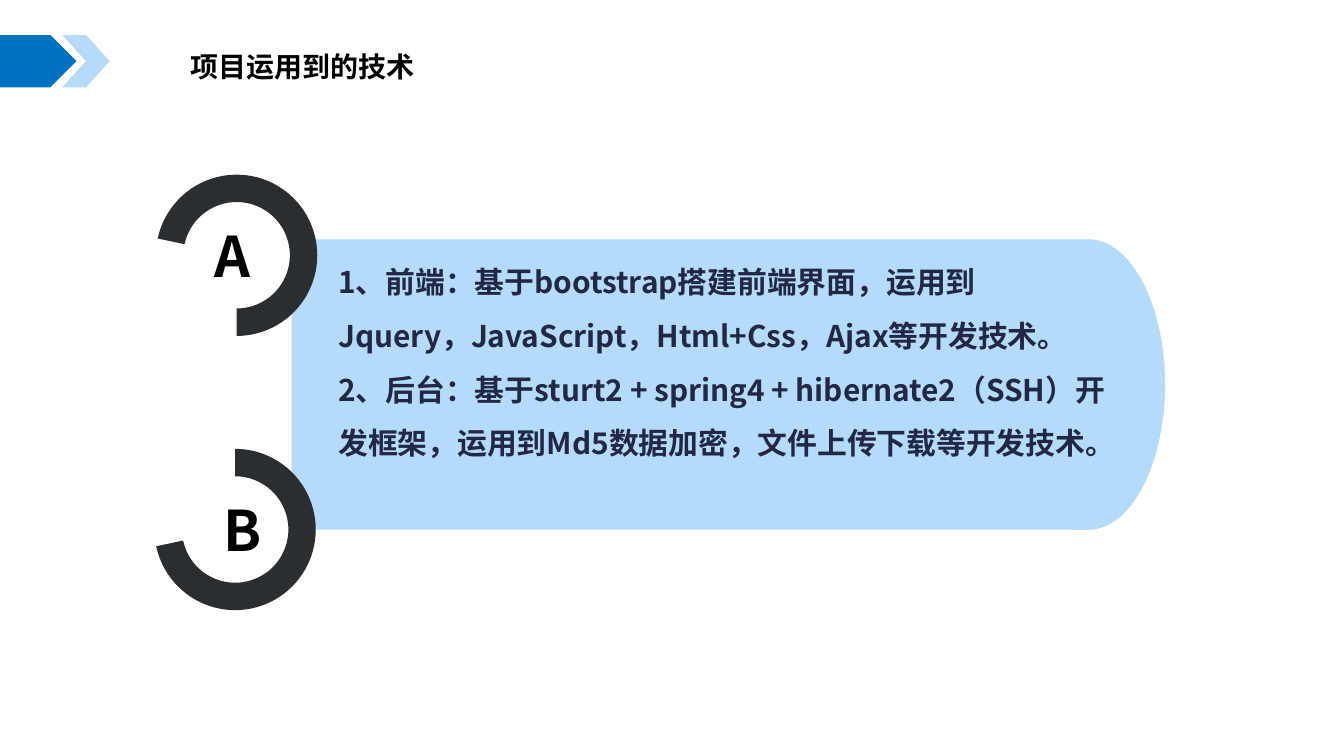
import math
from pptx import Presentation
from pptx.dml.color import RGBColor
from pptx.enum.shapes import MSO_SHAPE
from pptx.enum.text import MSO_ANCHOR, MSO_AUTO_SIZE, PP_ALIGN
from pptx.oxml.ns import qn
from pptx.util import Pt
from lxml import etree

ARC, PENTAGON, CHEVRON = MSO_SHAPE.BLOCK_ARC, MSO_SHAPE.PENTAGON, MSO_SHAPE.CHEVRON
TOP, LEFT, NO_FIT = MSO_ANCHOR.TOP, PP_ALIGN.LEFT, MSO_AUTO_SIZE.NONE
FONT = "Noto Sans CJK SC"
COLORS = {"blue": "0070C0", "pale": "B4DCFA", "ring": "2B2E30",
          "body": "212745", "black": "000000"}


def paint(sp, color):
    sp.shadow.inherit = False
    sp.fill.solid()
    sp.fill.fore_color.rgb = RGBColor.from_string(COLORS[color])
    sp.line.fill.background()


def add_run(p, text, size, color):
    p.alignment = LEFT
    r = p.add_run()
    r.text = text
    r.font.name, r.font.size, r.font.bold = FONT, Pt(size), True
    r.font.color.rgb = RGBColor.from_string(COLORS[color])
    etree.SubElement(r.font._element, qn("a:ea")).set("typeface", FONT)


prs = Presentation()
prs.slide_width, prs.slide_height = Pt(720), Pt(405)
s = prs.slides.add_slide(prs.slide_layouts[5])

# Panel with a half-ellipse on the right
x, y, straight, rx, ry = 156.2, 128.2, 427, 41, 77.8
fb = s.shapes.build_freeform(Pt(x), Pt(y))
curve = []
for deg in range(-90, 91, 3):
    a = math.radians(deg)
    curve.append((Pt(x + straight + rx * math.cos(a)), Pt(y + ry + ry * math.sin(a))))
fb.add_line_segments(curve + [(Pt(x), Pt(y + 2 * ry))], close=True)
paint(fb.convert_to_shape(), "pale")

# Panel text
tf = s.shapes.add_textbox(Pt(174.2), Pt(128.2), Pt(426.2), Pt(189.4)).text_frame
tf.word_wrap = True
items = [
    "1、前端：基于bootstrap搭建前端界面，运用到Jquery，JavaScript，Html+Css，Ajax等开发技术。",
    "2、后台：基于sturt2 + spring4 + hibernate2（SSH）开发框架，运用到Md5数据加密，文件上传下载等开发技术。",
]
for i, text in enumerate(items):
    p = tf.add_paragraph() if i else tf.paragraphs[0]
    p.line_spacing = 1.5
    add_run(p, text, 16, "body")

# Open rings with letters: ring position, start and end angle, letter position
rings = [
    ("A", 83.6, 93.6, 192, 90, 108, 115.2),
    ("B", 82.8, 240.5, 270, 168, 112.6, 262),
]
for letter, left, top, start, end, text_left, text_top in rings:
    sp = s.shapes.add_shape(ARC, Pt(left), Pt(top), Pt(86.4), Pt(86.4))
    # Angles are stored in 60000ths of a degree, adjustments in 100000ths
    sp.adjustments[0] = start * 0.6
    sp.adjustments[1] = end * 0.6
    sp.adjustments[2] = 0.17
    paint(sp, "ring")
    tf = s.shapes.add_textbox(Pt(text_left), Pt(text_top), Pt(37), Pt(44)).text_frame
    tf.word_wrap = False
    add_run(tf.paragraphs[0], letter, 30, "black")

# Title
title = s.shapes.title
title.left, title.top, title.width, title.height = Pt(59), Pt(23), Pt(226.8), Pt(25.2)
tf = title.text_frame
tf.vertical_anchor, tf.auto_size, tf.word_wrap = TOP, NO_FIT, True
tf.margin_left = Pt(43.2)
add_run(tf.paragraphs[0], "项目运用到的技术", 15, "black")

# Header arrows
for kind, left, width, color in [(PENTAGON, 0, 41, "blue"), (CHEVRON, 33.4, 25.4, "pale")]:
    sp = s.shapes.add_shape(kind, Pt(left), Pt(18.8), Pt(width), Pt(28))
    sp.adjustments[0] = 0.5
    paint(sp, color)

prs.save("out.pptx")
